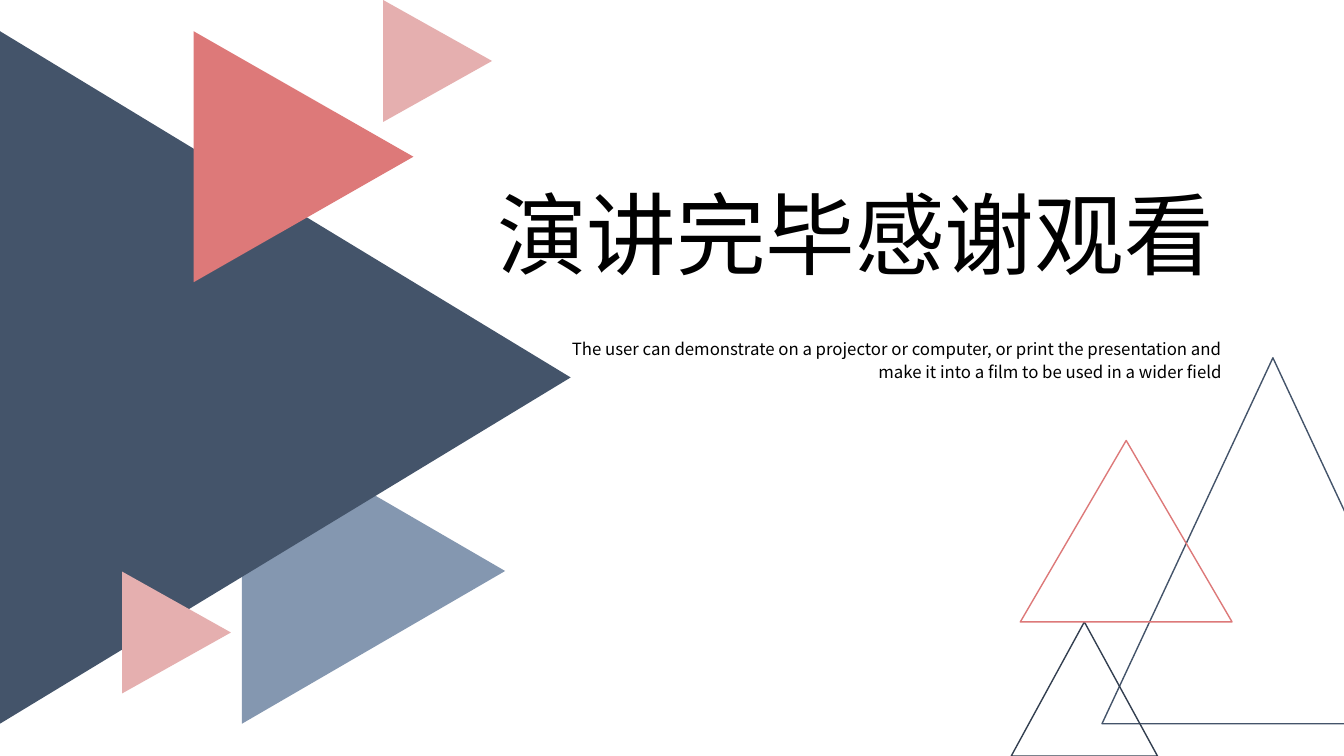
from lxml import etree
from pptx import Presentation
from pptx.dml.color import RGBColor
from pptx.enum.shapes import MSO_SHAPE
from pptx.enum.text import MSO_ANCHOR, MSO_AUTO_SIZE, PP_ALIGN
from pptx.oxml.ns import qn
from pptx.util import Inches, Pt

FONT = "Noto Sans CJK SC"
NAVY, CORAL, PINK = "44546A", "DD7979", "E5AFAF"
STEEL, DARK_NAVY, BLACK = "8497B0", "333F50", "000000"


def color(value):
    return RGBColor.from_string(value)


def place(shape, box):
    shape.left, shape.top, shape.width, shape.height = map(Inches, box)


def add_triangle(slide, box, fill=None, line=None, rotation=0):
    shape = slide.shapes.add_shape(MSO_SHAPE.ISOSCELES_TRIANGLE, *map(Inches, box))
    shape.shadow.inherit = False
    shape.rotation = rotation
    if fill:
        shape.fill.solid()
        shape.fill.fore_color.rgb = color(fill)
    else:
        shape.fill.background()
    if line:
        shape.line.color.rgb = color(line)
        shape.line.width = Pt(1)
    else:
        shape.line.fill.background()


def write_text(shape, text, size, align=PP_ALIGN.LEFT, line_spacing=1.0):
    frame = shape.text_frame
    frame.word_wrap = True
    frame.auto_size = MSO_AUTO_SIZE.NONE
    frame.vertical_anchor = MSO_ANCHOR.TOP
    paragraph = frame.paragraphs[0]
    paragraph.alignment = align
    paragraph.line_spacing = line_spacing
    run = paragraph.add_run()
    run.text = text
    run.font.size = Pt(size)
    run.font.name = FONT
    run.font.color.rgb = color(BLACK)
    # East Asian typeface for the Chinese characters
    east_asian = etree.SubElement(run.font._element, qn("a:ea"))
    east_asian.set("typeface", FONT)


def add_solid_triangles(slide, left, top):
    """Filled triangles pointing right, from back to front."""
    for x, y, base, depth, fill in [
        (2.4, 4.15, 3.03, 2.61, STEEL),
        (0, 0.31, 6.87, 5.66, NAVY),
        (1.92, 0.31, 2.49, 2.18, CORAL),
        (3.8, 0, 1.21, 1.08, PINK),
        (1.21, 5.67, 1.21, 1.08, PINK),
    ]:
        # A quarter turn swaps the frame's sides around its centre
        shift = (base - depth) / 2
        box = (left + x - shift, top + y + shift, base, depth)
        add_triangle(slide, box, fill=fill, rotation=90)


def add_outline_triangles(slide, left, top):
    """Upright outlined triangles in the lower right corner."""
    for x, y, width, height, line in [
        (0.9, 0, 3.39, 3.63, NAVY),
        (0, 2.62, 1.45, 1.33, DARK_NAVY),
        (0.09, 0.82, 2.1, 1.8, CORAL),
    ]:
        add_triangle(slide, (left + x, top + y, width, height), line=line)


def add_closing_text(slide, left, top):
    """Title with a right-aligned line of description below."""
    title = slide.shapes.title
    place(title, (left, top, 7.61, 1.21))
    write_text(title, "演讲完毕感谢观看", 64)

    description = slide.shapes.add_textbox(0, 0, 0, 0)
    place(description, (left + 0.33, top + 1.56, 7.06, 0.54))
    write_text(
        description,
        "The user can demonstrate on a projector or computer, or print the "
        "presentation and make it into a film to be used in a wider field",
        12, align=PP_ALIGN.RIGHT, line_spacing=1.14,
    )


def main():
    presentation = Presentation()
    presentation.slide_width = Inches(13.33)
    presentation.slide_height = Inches(7.5)
    slide = presentation.slides.add_slide(presentation.slide_layouts[5])
    add_solid_triangles(slide, 0, 0)
    add_outline_triangles(slide, 10.03, 3.55)
    add_closing_text(slide, 4.83, 1.72)
    presentation.save("out.pptx")


if __name__ == "__main__":
    main()
